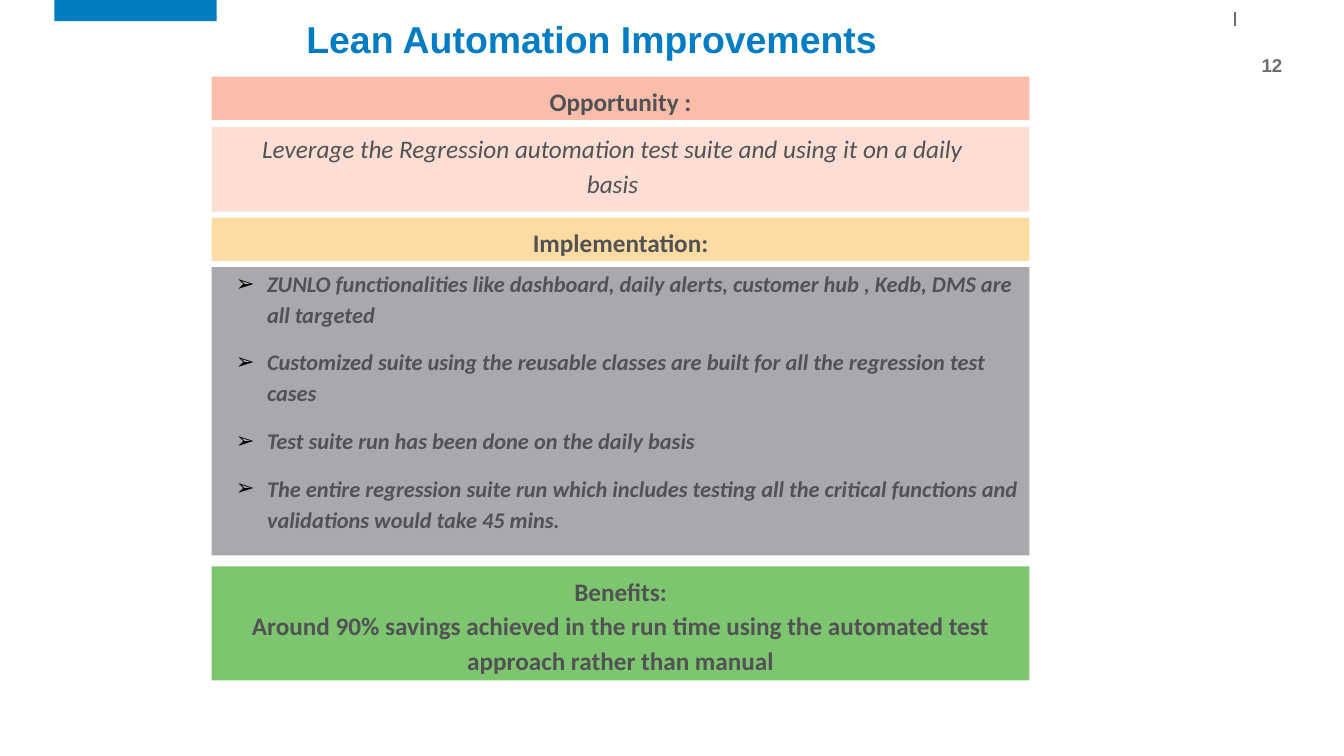
import pptx
import pptx.util
import pptx.dml.color
import pptx.enum.shapes
import pptx.enum.text
import pptx.oxml.ns
import lxml.etree

Inches, Pt = pptx.util.Inches, pptx.util.Pt
RGBColor = pptx.dml.color.RGBColor
Anchor = pptx.enum.text.MSO_ANCHOR
Align = pptx.enum.text.PP_ALIGN

BLUE = RGBColor(0x00, 0x7C, 0xC3)
SLATE = RGBColor(0x6D, 0x6E, 0x71)
INK = RGBColor(0x52, 0x52, 0x55)
CORAL = RGBColor(0xF9, 0xBD, 0xA9)
PINK = RGBColor(0xFC, 0xDE, 0xD4)
AMBER = RGBColor(0xFD, 0xDB, 0xA3)
GRAY = RGBColor(0xA7, 0xA9, 0xAC)
GREEN = RGBColor(0x7D, 0xC6, 0x6F)

# Content
TITLE = "Lean Automation Improvements"
PAGE_NUMBER = "12"
GOAL = "Leverage the Regression automation test suite and using it on a daily basis"
STEPS = [
    "ZUNLO functionalities like dashboard, daily alerts, customer hub , Kedb, DMS are all targeted",
    "Customized suite using the reusable classes are built for all the regression test cases",
    "Test suite run has been done on the daily basis",
    "The entire regression suite run which includes testing all the critical functions "
    "and validations would take 45 mins.",
]
BENEFITS = ("Benefits:\vAround 90% savings achieved in the run time using the "
            "automated test approach rather than manual")

# Panels: top, height, fill, heading
PANEL_LEFT, PANEL_WIDTH = 2.1, 8.11
PANELS = [
    (0.76, 0.43, CORAL, "Opportunity :"),
    (1.26, 0.84, PINK, None),
    (2.16, 0.43, AMBER, "Implementation:"),
    (2.65, 2.86, GRAY, None),
    (5.62, 1.13, GREEN, BENEFITS),
]

# Text formats
TITLE_FONT = {"name": "Arial", "size": Pt(26.7), "bold": True}
NUMBER_FONT = {"name": "Arial", "size": Pt(13.3), "bold": True}
HEADING_FONT = {"name": "Calibri", "size": Pt(18), "bold": True}
GOAL_FONT = {"name": "Calibri", "size": Pt(18), "italic": True}
STEP_FONT = {"name": "Calibri", "size": Pt(16), "bold": True, "italic": True}
CENTERED = {"alignment": Align.CENTER, "line_spacing": 1.15, "space_before": Pt(12)}
LISTED = {"alignment": Align.LEFT, "line_spacing": 1.15, "space_before": Pt(12)}


def apply(target, values):
    for name, value in values.items():
        setattr(target, name, value)


def write(shape, lines, font, color, layout, frame_format=None):
    frame = shape.text_frame
    apply(frame, {"word_wrap": True, "vertical_anchor": Anchor.TOP})
    apply(frame, frame_format or {})
    for index, line in enumerate(lines):
        para = frame.add_paragraph() if index else frame.paragraphs[0]
        para.text = line
        apply(para, layout)
        for span in para.runs:
            apply(span.font, font)
            span.font.color.rgb = color
    return frame


def add_bullet(para):
    properties = para._p.get_or_add_pPr()
    properties.set("marL", str(Inches(0.45)))
    properties.set("indent", str(Inches(-0.31)))
    qn = pptx.oxml.ns.qn
    color = lxml.etree.SubElement(properties, qn("a:buClr"))
    lxml.etree.SubElement(color, qn("a:srgbClr"), val="000000")
    lxml.etree.SubElement(properties, qn("a:buFont"), typeface="Arial")
    lxml.etree.SubElement(properties, qn("a:buChar"), char="➢")


def add_block(page, left, top, width, height, fill):
    block = page.shapes.add_shape(
        pptx.enum.shapes.MSO_SHAPE.RECTANGLE,
        Inches(left), Inches(top), Inches(width), Inches(height))
    block.shadow.inherit = False
    block.fill.solid()
    block.fill.fore_color.rgb = fill
    block.line.fill.background()
    return block


def add_text(page, left, top, width, height, *text):
    box = page.shapes.add_textbox(
        Inches(left), Inches(top), Inches(width), Inches(height))
    return write(box, *text)


def main():
    deck = pptx.Presentation()
    deck.slide_width, deck.slide_height = Inches(13.33), Inches(7.5)
    page = deck.slides.add_slide(deck.slide_layouts[6])

    # Page furniture
    add_block(page, 0.54, 0, 1.61, 0.21, BLUE)
    tick = page.shapes.add_connector(
        pptx.enum.shapes.MSO_CONNECTOR.STRAIGHT,
        Inches(12.25), Inches(0.12), Inches(12.25), Inches(0.26))
    tick.line.color.rgb = SLATE
    tick.line.width = Pt(1)
    lxml.etree.SubElement(tick._element.spPr, pptx.oxml.ns.qn("a:effectLst"))
    margins = {"margin_" + side: Inches(0.02) for side in ("left", "top", "right", "bottom")}
    add_text(page, 12.48, 0.52, 0.27, 0.26, [PAGE_NUMBER], NUMBER_FONT, SLATE,
             {"alignment": Align.CENTER},
             {"word_wrap": False, "vertical_anchor": Anchor.MIDDLE, **margins})

    # Title
    add_text(page, 2.94, 0.04, 9.96, 0.62, [TITLE], TITLE_FONT, BLUE,
             {"line_spacing": 0.9}, {"vertical_anchor": Anchor.BOTTOM})

    # Panels with their headings
    for top, height, fill, heading in PANELS:
        panel = add_block(page, PANEL_LEFT, top, PANEL_WIDTH, height, fill)
        if heading:
            write(panel, [heading], HEADING_FONT, INK, CENTERED)

    # Goal and implementation steps
    add_text(page, 2.37, 1.23, 7.41, 0.78, [GOAL], GOAL_FONT, INK, CENTERED)
    steps = add_text(page, PANEL_LEFT, 2.59, PANEL_WIDTH, 2.8,
                     STEPS, STEP_FONT, INK, LISTED)
    for para in steps.paragraphs:
        add_bullet(para)

    deck.save("out.pptx")


if __name__ == "__main__":
    main()
